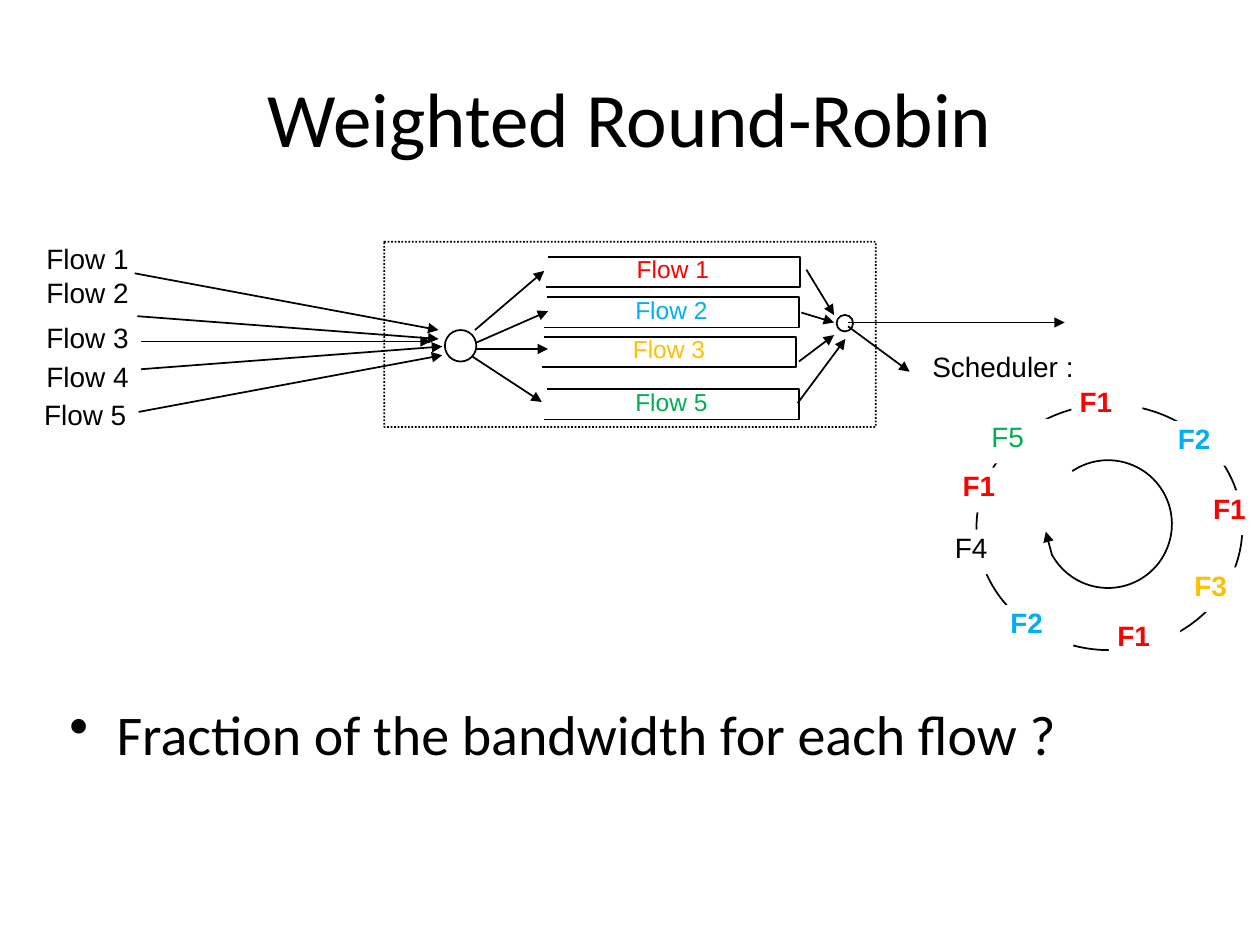
from dataclasses import dataclass
from math import cos, radians, sin

from pptx import Presentation
from pptx.dml.color import RGBColor
from pptx.enum.dml import MSO_LINE_DASH_STYLE as Dash
from pptx.enum.shapes import MSO_CONNECTOR as Connector, MSO_SHAPE as Preset
from pptx.enum.text import MSO_ANCHOR as Anchor, MSO_AUTO_SIZE as AutoSize, PP_ALIGN as Align
from pptx.oxml.ns import qn
from pptx.util import Pt


@dataclass(frozen=True)
class Theme:
    heading_font: str = "Calibri"
    diagram_font: str = "Arial"
    title_size: int = 44
    body_size: int = 32
    label_size: int = 16
    queue_size: int = 14
    line_width: int = 1
    black: str = "000000"
    white: str = "FFFFFF"
    red: str = "FF0000"
    blue: str = "00B0F0"
    gold: str = "FFC000"
    green: str = "00B050"


def apply(target, values):
    for name, value in values.items():
        setattr(target, name, value)


class SlideWriter:
    def __init__(self, page, theme):
        self.page, self.theme = page, theme

    def text(self, words, at, size, color=None, font=None, bold=False,
             frame=None, para=None, inset=0):
        box = self.page.shapes.add_textbox(*map(Pt, at))
        margins = {f"margin_{side}": Pt(inset) for side in ("left", "top", "right", "bottom")}
        apply(box.text_frame, {"word_wrap": True, **margins, **(frame or {})})
        first = box.text_frame.paragraphs[0]
        apply(first, para or {})
        span = first.add_run()
        span.text = words
        apply(span.font, {"name": font or self.theme.diagram_font, "size": Pt(size), "bold": bold})
        span.font.color.rgb = RGBColor.from_string(color or self.theme.black)
        return first

    def label(self, words, at, color=None, bold=False, align=Align.LEFT):
        self.text(words, at, self.theme.label_size, color, bold=bold,
                  frame={"word_wrap": False, "auto_size": AutoSize.SHAPE_TO_FIT_TEXT},
                  para={"line_spacing": 0.84, "alignment": align})

    def bullet(self, words, at):
        para = self.text(words, at, self.theme.body_size, font=self.theme.heading_font,
                         para={"space_before": Pt(7)}, inset=3.6)
        props = para._p.get_or_add_pPr()
        props.set("marL", str(Pt(27)))
        props.set("indent", str(-Pt(27)))
        mark = props.makeelement(qn("a:buChar"), {"char": "•"})
        props.append(mark)

    def outline(self, shape, color=None):
        shape.shadow.inherit = False
        shape.line.width = Pt(self.theme.line_width)
        shape.line.color.rgb = RGBColor.from_string(color or self.theme.black)

    def shape(self, preset, at, fill=None, line=None, dash=None, corner=None):
        shape = self.page.shapes.add_shape(preset, *map(Pt, at))
        self.outline(shape, line)
        if fill:
            shape.fill.solid()
            shape.fill.fore_color.rgb = RGBColor.from_string(fill)
        else:
            shape.fill.background()
        if dash:
            shape.line.dash_style = dash
        if corner is not None:
            shape.adjustments[0] = corner

    def path_through(self, points):
        """Draw an open, unfilled line through the points."""
        start, *rest = [(Pt(x), Pt(y)) for x, y in points]
        builder = self.page.shapes.build_freeform(*start)
        builder.add_line_segments(rest, close=False)
        shape = builder.convert_to_shape()
        shape.fill.background()
        self.outline(shape)

    def arrow(self, *ends):
        line = self.page.shapes.add_connector(Connector.STRAIGHT, *map(Pt, ends))
        line.line.width = Pt(self.theme.line_width)
        line.line.color.rgb = RGBColor.from_string(self.theme.black)
        stroke = line.line._get_or_add_ln()
        stroke.append(stroke.makeelement(qn("a:tailEnd"), {"type": "triangle"}))
        props = line._element.spPr
        props.append(props.makeelement(qn("a:effectLst"), {}))

    def queue(self, words, left, top, color):
        """Draw a buffer open on its left side, with its flow name."""
        width, height = 145.4, 17.2
        right, bottom = left + width, top + height
        self.path_through([(left + 1.4, top), (right, top), (right, bottom), (left, bottom)])
        self.text(words, (left, top + 1, width, 14.4), self.theme.queue_size, color,
                  frame={"vertical_anchor": Anchor.MIDDLE,
                         "auto_size": AutoSize.SHAPE_TO_FIT_TEXT},
                  para={"line_spacing": 0.84, "alignment": Align.CENTER})

    def slot(self, words, left, top, color, bold=True):
        """Put a turn on the scheduler wheel, masking the rim behind it."""
        self.shape(Preset.ROUNDED_RECTANGLE, (left, top, 39.6, 24.5),
                   self.theme.white, self.theme.white, corner=0.005)
        self.label(words, (left + 4.2, top + 3, 18.7, 16.6), color, bold, Align.CENTER)

    def arc(self, center_x, center_y, radius, start, end, step):
        self.path_through([(center_x + radius * cos(radians(angle)),
                            center_y + radius * sin(radians(angle)))
                           for angle in range(start, end, step)])


SOURCES = [(26.6, 141.1), (26.6, 160.6), (26.6, 186.5), (26.6, 208.8), (25.2, 230.4)]
INPUT_ARROWS = [(77, 156.2, 250.6, 188.6), (78.5, 180.7, 250.6, 193.7),
                (80.6, 195.1, 246.2, 195.1), (80.6, 211, 252.7, 198),
                (79.2, 235.4, 252.7, 203)]
TO_QUEUES = [(271.4, 188.6, 311, 154.8), (272.2, 195.8, 313.2, 177.8),
             (272.2, 199.4, 313.2, 199.4), (270, 203.8, 309.6, 229.7)]
FROM_QUEUES = [(460.8, 154.1, 476.6, 180), (457.9, 178.6, 476.6, 184.3),
               (456.5, 206.6, 476.6, 191.5), (455.8, 230.4, 483.1, 193.7)]
OUTPUT_ARROWS = [(484.6, 184.3, 608.4, 184.3), (484.6, 186.5, 519.8, 212.4)]


def main():
    theme = Theme()
    deck = Presentation()
    deck.slide_width, deck.slide_height = Pt(720), Pt(540)
    writer = SlideWriter(deck.slides.add_slide(deck.slide_layouts[6]), theme)

    writer.text("Weighted Round-Robin", (36, 21.6, 648, 90), theme.title_size,
                font=theme.heading_font, frame={"vertical_anchor": Anchor.MIDDLE},
                para={"alignment": Align.CENTER}, inset=3.6)

    for number, (left, top) in enumerate(SOURCES, 1):
        writer.label(f"Flow {number}", (left, top, 48.2, 18.7))
    writer.shape(Preset.ROUNDED_RECTANGLE, (219.6, 138.2, 280.8, 105.8),
                 dash=Dash.ROUND_DOT, corner=0.001)
    for words, left, top, color in [("Flow 1", 311.8, 146.9, theme.red),
                                    ("Flow 2", 311, 169.9, theme.blue),
                                    ("Flow 3", 309.6, 192.4, theme.gold),
                                    ("Flow 5", 311, 222.5, theme.green)]:
        writer.queue(words, left, top, color)
    writer.shape(Preset.OVAL, (254.2, 188.6, 18, 18))
    writer.shape(Preset.OVAL, (478.1, 180, 9.4, 9.4))
    for ends in INPUT_ARROWS + TO_QUEUES + FROM_QUEUES + OUTPUT_ARROWS:
        writer.arrow(*ends)

    writer.label("Scheduler :", (532.8, 203, 82.1, 18.7))
    writer.shape(Preset.OVAL, (558, 231.1, 151.9, 140.4))
    for words, left, top, color in [("F1", 612.7, 219.6, theme.red),
                                    ("F2", 668.9, 241.2, theme.blue),
                                    ("F3", 678.2, 324.7, theme.gold),
                                    ("F4", 541.4, 303.1, theme.black),
                                    ("F5", 562.3, 239.8, theme.green),
                                    ("F1", 689, 280.8, theme.red),
                                    ("F2", 573.1, 346.3, theme.blue),
                                    ("F1", 634.3, 353.5, theme.red),
                                    ("F1", 545.8, 267.8, theme.red)]:
        writer.slot(words, left, top, color, bold=words not in ("F4", "F5"))
    writer.arc(633.2, 299.5, 36.5, 152, -125, -3)
    writer.arrow(601.2, 317.5, 597.6, 303.8)

    writer.bullet("Fraction of the bandwidth for each flow ?", (36, 396, 648, 86.4))
    deck.save("out.pptx")


if __name__ == "__main__":
    main()
